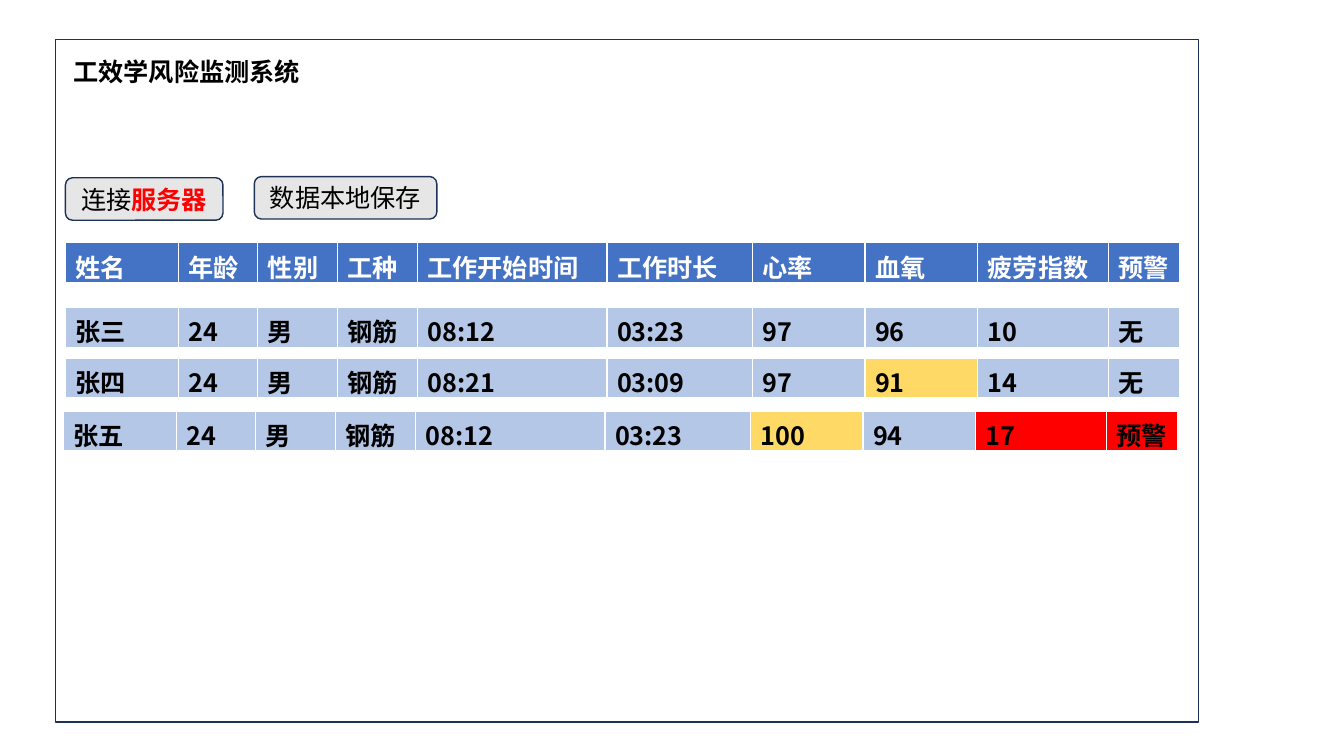
from lxml.etree import SubElement
from pptx import Presentation
from pptx.dml.color import RGBColor
from pptx.enum.shapes import MSO_SHAPE as SHAPE
from pptx.enum.text import MSO_ANCHOR as ANCHOR, MSO_AUTO_SIZE as AUTO, PP_ALIGN as ALIGN
from pptx.oxml.ns import qn
from pptx.util import Cm, Pt

FONT = "Noto Sans CJK SC"
BLACK, WHITE, RED, YELLOW = "000000", "FFFFFF", "FF0000", "FFD966"
BLUE, PALE, GREY, NAVY = "4472C4", "B4C7E7", "E7E6E6", "1E3256"
COLUMNS = [2.84, 2.01, 2.01, 2.01, 4.78, 3.66, 2.84, 2.84, 3.3, 1.8]
HEADER = ["姓名", "年龄", "性别", "工种", "工作开始时间", "工作时长", "心率", "血氧", "疲劳指数", "预警"]
WORKERS = [
    (1.65, 7.75, ["张三", "24", "男", "钢筋", "08:12", "03:23", "97", "96", "10", "无"], {}),
    (1.65, 9.02, ["张四", "24", "男", "钢筋", "08:21", "03:09", "97", "91", "14", "无"], {7: YELLOW}),
    (1.6, 10.36, ["张五", "24", "男", "钢筋", "08:12", "03:23", "100", "94", "17", "预警"],
     {6: YELLOW, 8: RED, 9: RED}),
]


def rgb(color):
    return RGBColor.from_string(color)


def style_run(r, color=BLACK, bold=False):
    r.font.name, r.font.size, r.font.bold = FONT, Pt(18), bold
    r.font.color.rgb = rgb(color)
    SubElement(r.font._element, qn("a:ea"), typeface=FONT)


def add_borders(cell):
    tc_pr = cell._tc.get_or_add_tcPr()
    for i, (side, width) in enumerate([("L", 1), ("R", 1), ("T", 1), ("B", 3)]):
        ln = SubElement(tc_pr, qn(f"a:ln{side}"), w=str(Pt(width)))
        SubElement(SubElement(ln, qn("a:solidFill")), qn("a:srgbClr"), val=WHITE)
        tc_pr.insert(i, ln)


def add_row(s, left, top, values, fill, color, alerts):
    frame = s.shapes.add_table(1, len(values), Cm(left), Cm(top), Cm(sum(COLUMNS)), Cm(1.03))
    for i, (value, width) in enumerate(zip(values, COLUMNS)):
        frame.table.columns[i].width = Cm(width)
        cell = frame.table.cell(0, i)
        cell.fill.solid()
        cell.fill.fore_color.rgb = rgb(alerts.get(i, fill))
        add_borders(cell)
        cell.text_frame.text = value
        style_run(cell.text_frame.paragraphs[0].runs[0], color, True)


def add_box(s, kind, left, top, width, height, fill=None):
    sp = s.shapes.add_shape(kind, Cm(left), Cm(top), Cm(width), Cm(height))
    sp.shadow.inherit = False
    sp.line.color.rgb = rgb(NAVY)
    sp.line.width = Pt(1)
    if fill:
        sp.fill.solid()
        sp.fill.fore_color.rgb = rgb(fill)
    else:
        sp.fill.background()
    return sp


def add_button(s, left, top, width, parts):
    sp = add_box(s, SHAPE.ROUNDED_RECTANGLE, left, top, width, 1.07, GREY)
    tf = sp.text_frame
    tf.vertical_anchor = ANCHOR.MIDDLE
    p = tf.paragraphs[0]
    p.alignment = ALIGN.CENTER
    for text, color, bold in parts:
        r = p.add_run()
        r.text = text
        style_run(r, color, bold)


def add_title(s, text):
    tf = s.shapes.add_textbox(Cm(1.6), Cm(1.3), Cm(28.07), Cm(1.03)).text_frame
    tf.word_wrap = True
    tf.auto_size = AUTO.SHAPE_TO_FIT_TEXT
    tf.text = text
    style_run(tf.paragraphs[0].runs[0], bold=True)


def main():
    prs = Presentation()
    prs.slide_width, prs.slide_height = Cm(33.87), Cm(19.05)
    s = prs.slides.add_slide(prs.slide_layouts[6])
    add_box(s, SHAPE.RECTANGLE, 1.4, 1, 28.8, 17.2)
    add_title(s, "工效学风险监测系统")
    add_button(s, 1.65, 4.48, 3.97, [("连接", BLACK, False), ("服务器", RED, True)])
    add_button(s, 6.41, 4.45, 4.6, [("数据本地保存", BLACK, False)])
    add_row(s, 1.65, 6.12, HEADER, BLUE, WHITE, {})
    for left, top, values, alerts in WORKERS:
        add_row(s, left, top, values, PALE, BLACK, alerts)
    prs.save("out.pptx")


if __name__ == "__main__":
    main()
